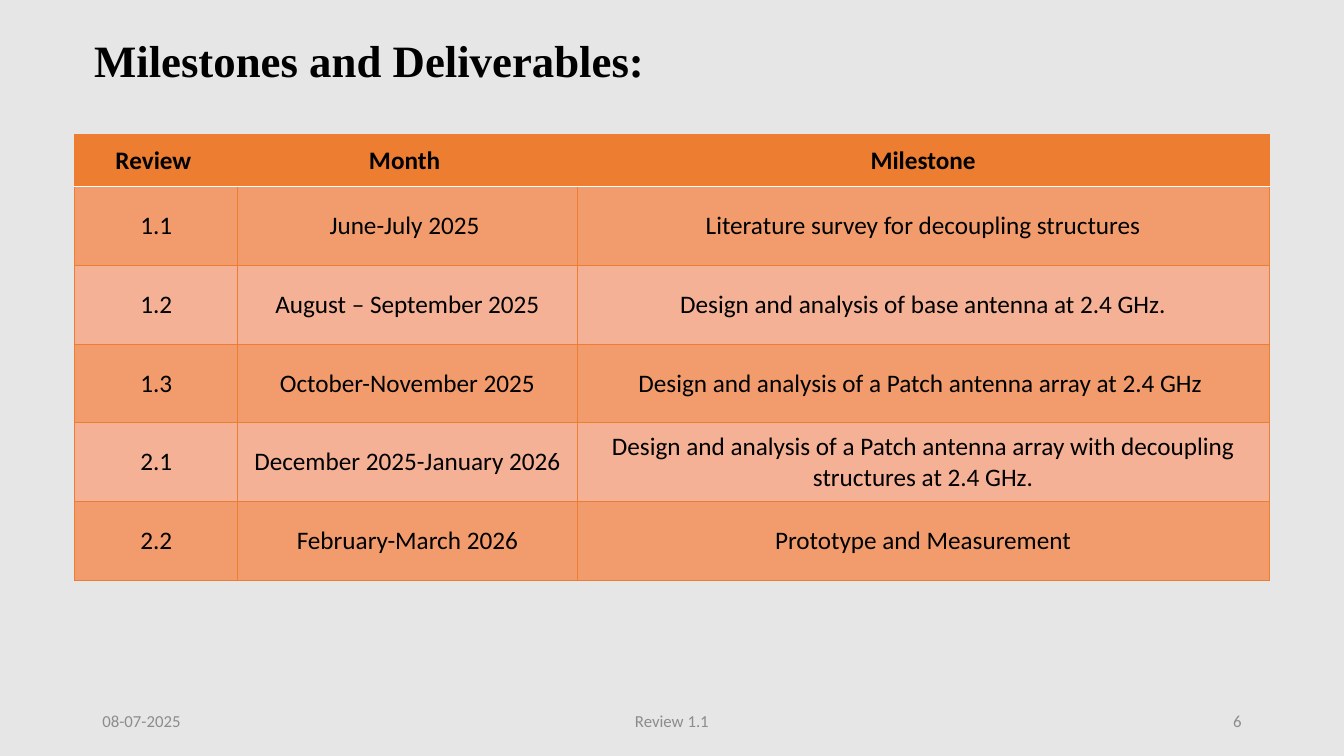
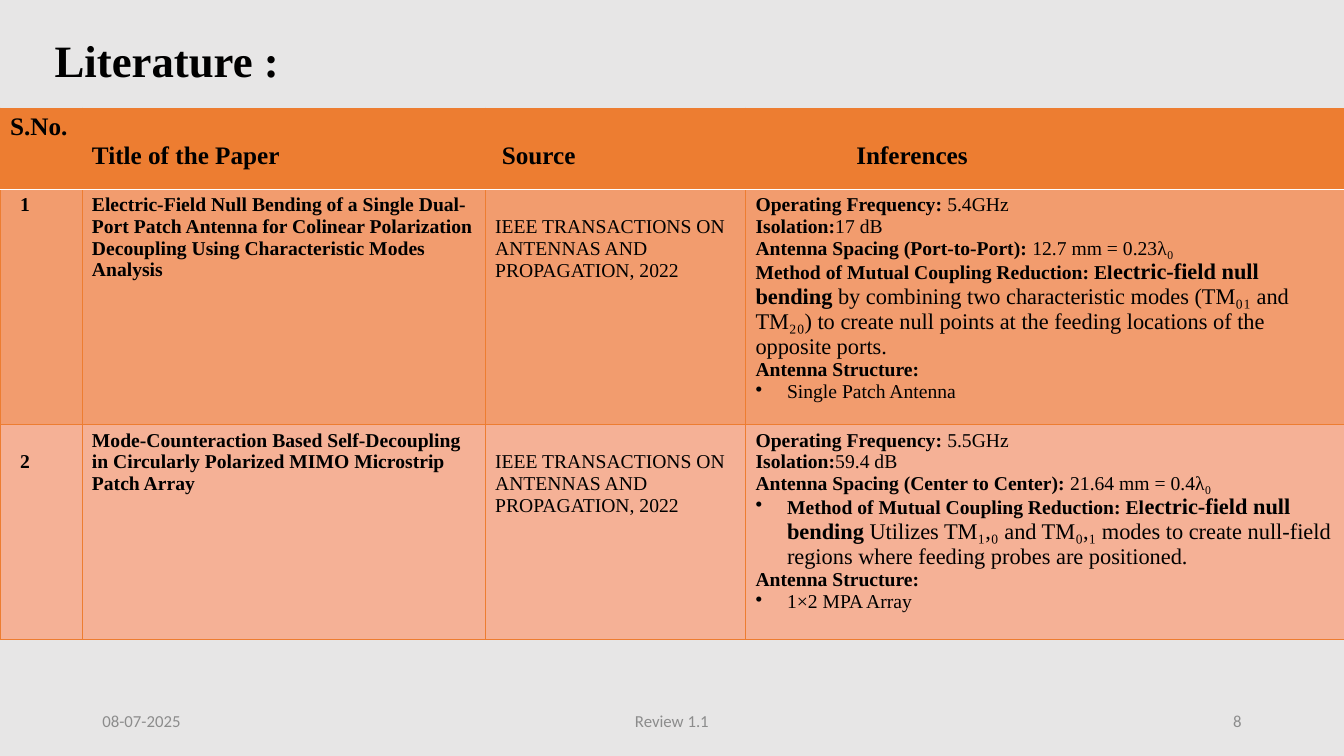
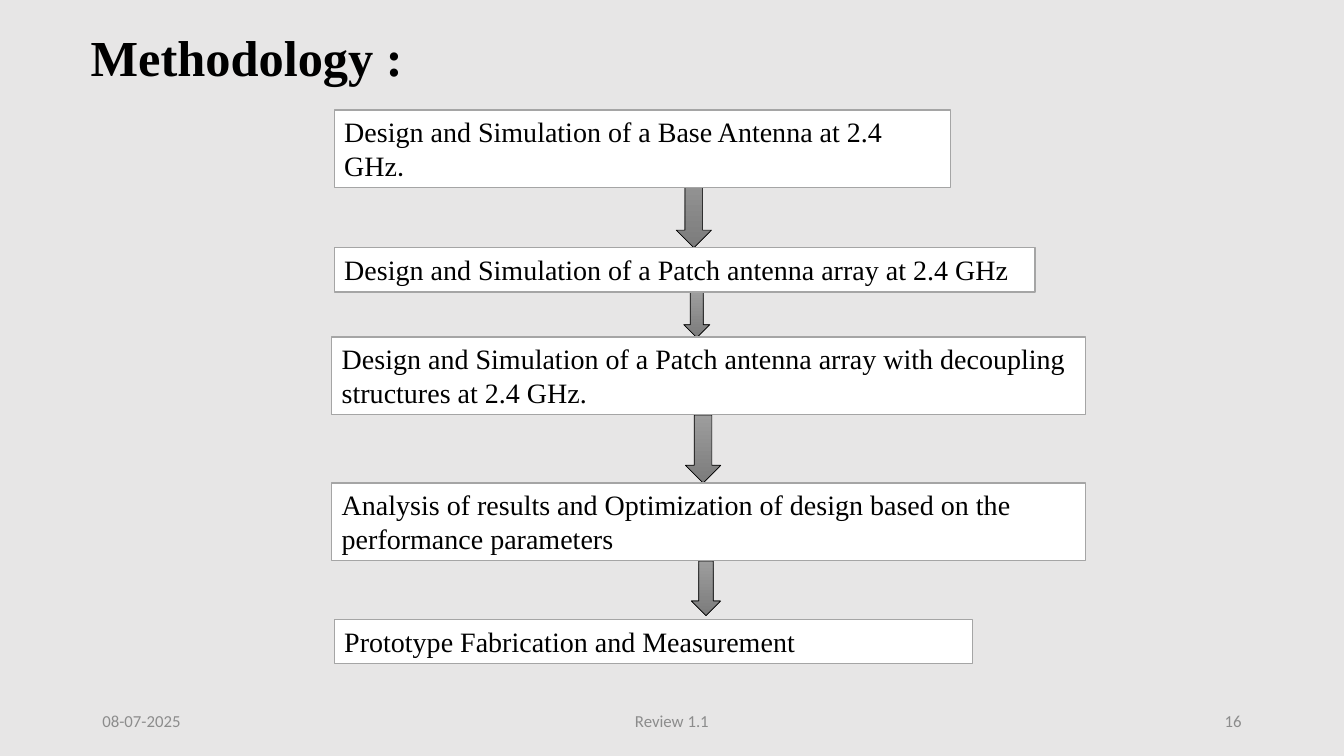
"""Build three review slides: milestones, literature and methodology."""
from lxml import etree
from pptx import Presentation, util as u
from pptx.dml.color import RGBColor
from pptx.enum import shapes, text
from pptx.oxml import parse_xml
from pptx.oxml.ns import nsdecls, qn

HUES = {"back": "E7E6E6", "ink": "000000", "head": "ED7D31", "odd": "F29C6E",
        "even": "F5B196", "white": "FFFFFF", "edge": "A5A5A5", "foot": "8C8C8C",
        "top": "9D9D9D", "base": "7C7C7C"}
RGB = {name: RGBColor.from_string(hue) for name, hue in HUES.items()}
SERIF, SANS = "Times New Roman", "Calibri"
ALIGN, ANCHOR = text.PP_ALIGN, text.MSO_ANCHOR

deck = Presentation()
deck.slide_width, deck.slide_height = u.Inches(13.3333), u.Inches(7.5)
UNIT = deck.slide_height / 90
back = deck.slide_master.background.fill
back.solid()
back.fore_color.rgb = RGB["back"]


def write(para, words, size, name=SERIF, bold=False, hue="ink"):
    run = para.add_run()
    run.text = words
    for key, val in {"size": u.Pt(size), "name": name, "bold": bold}.items():
        setattr(run.font, key, val)
    run.font.color.rgb = RGB[hue]


def grid(page, left, top, cols, rows):
    spot = [int(n * UNIT) for n in (left, top, sum(cols), sum(rows))]
    table = page.shapes.add_table(len(rows), len(cols), *spot).table
    for col, wide in zip(table.columns, cols):
        col.width = int(wide * UNIT)
    for r, high in enumerate(rows):
        table.rows[r].height = int(high * UNIT)
        for cell in table.rows[r].cells:
            props = cell._tc.get_or_add_tcPr()
            for side in "LRTB":
                seam = (r, side) in ((0, "B"), (1, "T"))
                hue, wide = ("white", 12700) if seam else ("head", 6350)
                props.append(parse_xml(
                    f'<a:ln{side} {nsdecls("a")} w="{wide}"><a:solidFill>'
                    f'<a:srgbClr val="{HUES[hue]}"/></a:solidFill></a:ln{side}>'))
            cell.fill.solid()
            cell.fill.fore_color.rgb = RGB["head" if r == 0 else "odd" if r % 2 else "even"]
    return table


PAGES = [("Milestones and Deliverables:", 32, "6", (10, 2.2, 138, 10.5)),
         ("Literature :", 32, "8", (5.3, 2.3, 138, 10.5)),
         ("Methodology :", 36, "16", (9.6, 2.6, 138, 9.1))]
pages = []
for words, size, num, spot in PAGES:
    page = deck.slides.add_slide(deck.slide_layouts[5])
    pages.append(page)
    title = page.shapes.title
    for key, val in zip(("left", "top", "width", "height"), spot):
        setattr(title, key, int(val * UNIT))
    frame = title.text_frame
    frame.auto_size = text.MSO_AUTO_SIZE.NONE
    frame.vertical_anchor = ANCHOR.MIDDLE
    para = frame.paragraphs[0]
    para.alignment, para.line_spacing = ALIGN.LEFT, 0.9
    write(para, words, size, bold=True)
    for note, left, wide, align in (("08-07-2025", 11, 36, ALIGN.LEFT),
                                    ("Review 1.1", 53, 54, ALIGN.CENTER),
                                    (num, 113, 36, ALIGN.RIGHT)):
        box = page.shapes.add_textbox(*[int(n * UNIT) for n in (left, 83.4, wide, 4.8)])
        frame = box.text_frame
        frame.word_wrap, frame.vertical_anchor = True, ANCHOR.MIDDLE
        frame.paragraphs[0].alignment = align
        write(frame.paragraphs[0], note, 12, SANS, hue="foot")

PLAN = [("Review ", "Month ", "Milestone"),
        ("1.1", "June-July 2025 ", "Literature survey for decoupling structures"),
        ("1.2", "August – September 2025", "Design and analysis of base antenna at 2.4 GHz."),
        ("1.3", "October-November 2025",
         "Design and analysis of a Patch antenna array at 2.4 GHz "),
        ("2.1", "December 2025-January 2026",
         "Design and analysis of a Patch antenna array with decoupling structures at 2.4 GHz."),
        ("2.2", "February-March 2026", "Prototype and Measurement")]
SNUG = {"margin_left": 0, "margin_right": 0, "margin_top": 0, "margin_bottom": 0,
        "vertical_anchor": ANCHOR.MIDDLE}
table = grid(pages[0], 8.9, 16.05, (19.4, 40.4, 82.4), [6.15] + [9.38] * 5)
for r, row in enumerate(PLAN):
    for c, words in enumerate(row):
        cell = table.cell(r, c)
        for key, val in SNUG.items():
            setattr(cell, key, val)
        para = cell.text_frame.paragraphs[0]
        para.alignment = ALIGN.CENTER
        write(para, words, 18, SANS, bold=r == 0)

HEADS = [("S.No.", 1.2, 0.6), ("Title of the Paper", 1.2, 4),
         ("Source", 2, 4), ("Inferences", 13.2, 4)]
PAPERS = [
    ("1", 0.6, "Electric-Field Null Bending of a Single Dual-Port Patch Antenna for Colinear "
     "Polarization Decoupling Using Characteristic Modes Analysis",
     "IEEE TRANSACTIONS ON ANTENNAS AND PROPAGATION, 2022",
     [("", "Operating Frequency:", "", " 5.4GHz"),
      ("", "Isolation:", "", "17 dB"),
      ("", "Antenna Spacing (Port-to-Port):", "", " 12.7 mm = 0.23λ₀"),
      ("", "Method of Mutual Coupling Reduction: El", "ectric-field null bending",
       " by combining two characteristic modes (TM₀₁ and TM₂₀) to create null points "
       "at the feeding locations of the opposite ports."),
      ("", "Antenna Structure:", "", ""),
      ("•", "", "", "Single Patch Antenna")]),
    ("2", 3.2, "Mode-Counteraction Based Self-Decoupling in Circularly Polarized MIMO "
     "Microstrip Patch Array",
     "IEEE TRANSACTIONS ON ANTENNAS AND PROPAGATION, 2022",
     [("", "Operating Frequency:", "", " 5.5GHz"),
      ("", "Isolation:", "", "59.4 dB"),
      ("", "Antenna Spacing (Center to Center):", "", " 21.64 mm = 0.4λ₀"),
      ("•", "Method of Mutual Coupling Reduction: El", "ectric-field null bending",
       " Utilizes TM₁,₀ and TM₀,₁ modes to create null-field regions where feeding "
       "probes are positioned."),
      ("", "Antenna Structure:", "", ""),
      ("•", "", "", "1×2 MPA Array")])]
table = grid(pages[1], 0, 12.85, (9.75, 48, 31, 71.6), (9.7, 27.6, 25.6))
for c, (words, left, top) in enumerate(HEADS):
    cell = table.cell(0, c)
    cell.margin_left, cell.margin_top = int(left * UNIT), int(top * UNIT)
    write(cell.text_frame.paragraphs[0], words, 18, bold=True)
for r, (num, drop, name, source, facts) in enumerate(PAPERS, 1):
    for c, (words, left, top, bold) in enumerate(((num, 2.4, drop, True),
                                                  (name, 1.2, 0.6, True),
                                                  (source, 1.2, 3.2, False))):
        cell = table.cell(r, c)
        cell.margin_left, cell.margin_top = int(left * UNIT), int(top * UNIT)
        write(cell.text_frame.paragraphs[0], words, 14, bold=bold)
    frame = table.cell(r, 3).text_frame
    for n, (mark, label, key, rest) in enumerate(facts):
        para = frame.add_paragraph() if n else frame.paragraphs[0]
        if mark:
            props = para._p.get_or_add_pPr()
            props.set("marL", "285750")
            props.set("indent", "-285750")
            etree.SubElement(props, qn("a:buChar")).set("char", mark)
        for words, size, bold in ((label, 14, True), (key, 16, True),
                                  (rest, 16 if key else 14, False)):
            if words:
                write(para, words, size, bold=bold)

ARROWS = [(80.5, 18.8, 4.2, 10.7), (81.4, 34.8, 3.1, 5.4),
          (81.6, 49.4, 4.2, 8.1), (82.3, 66.8, 3.5, 6.5)]
STEPS = [("Design and Simulation of a Base Antenna at 2.4 GHz", ".", (39.8, 13.1, 73.4, 9.25)),
         ("Design and Simulation of a Patch antenna array at 2.4 GHz", "",
          (39.8, 29.5, 83.4, 5.25)),
         ("Design and Simulation of a Patch antenna array with decoupling structures "
          "at 2.4 GHz.", "", (39.5, 40.1, 89.7, 9.25)),
         ("Analysis of results and Optimization of design based on the performance "
          "parameters", "", (39.5, 57.5, 89.7, 9.25)),
         ("Prototype Fabrication and Measurement", "", (39.8, 73.75, 76, 5.25))]
flow = pages[2].shapes
for spot in ARROWS:
    arrow = flow.add_shape(shapes.MSO_SHAPE.DOWN_ARROW, *[int(n * UNIT) for n in spot])
    arrow.shadow.inherit = False
    arrow.fill.gradient()
    arrow.fill.gradient_angle = 270
    for stop, hue in zip(arrow.fill.gradient_stops, ("top", "base")):
        stop.color.rgb = RGB[hue]
    arrow.line.color.rgb, arrow.line.width = RGB["ink"], u.Pt(0.5)
for words, tail, spot in STEPS:
    box = flow.add_shape(shapes.MSO_SHAPE.RECTANGLE, *[int(n * UNIT) for n in spot])
    box.shadow.inherit = False
    box.fill.solid()
    box.fill.fore_color.rgb = RGB["white"]
    box.line.color.rgb, box.line.width = RGB["edge"], u.Pt(1)
    frame = box.text_frame
    frame.word_wrap, frame.vertical_anchor = True, ANCHOR.TOP
    para = frame.paragraphs[0]
    para.alignment = ALIGN.LEFT
    write(para, words, 20)
    if tail:
        write(para, tail, 20, SANS)

deck.save("out.pptx")
